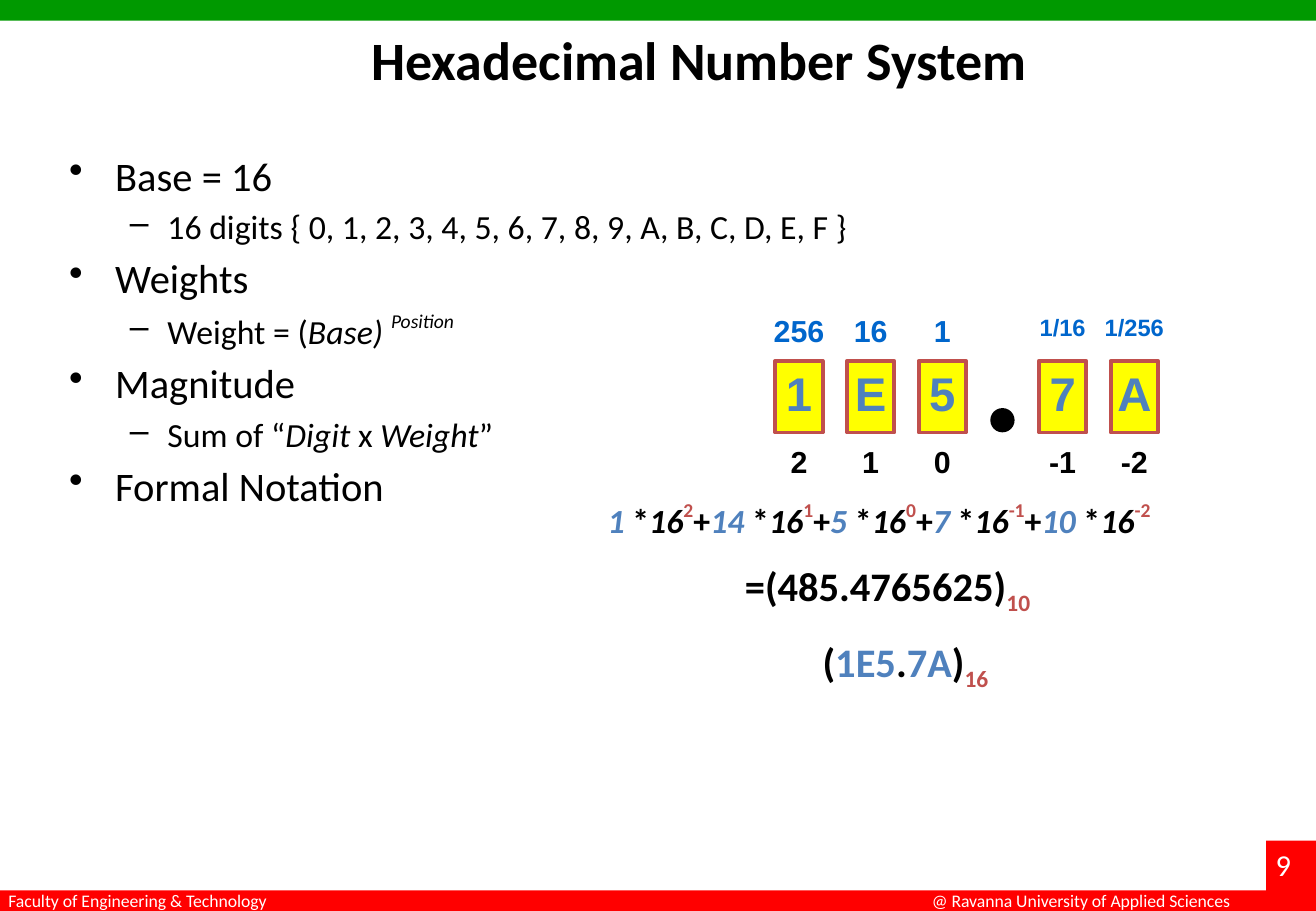
from pptx import Presentation
from pptx.dml.color import RGBColor
from pptx.enum.shapes import MSO_SHAPE as SHAPE
from pptx.enum.text import MSO_ANCHOR as ANCHOR, MSO_AUTO_SIZE as AUTOSIZE, PP_ALIGN as ALIGN
from pptx.util import Inches, Pt
from lxml import etree

BLACK = RGBColor(0x00, 0x00, 0x00)
WHITE = RGBColor(0xFF, 0xFF, 0xFF)
GREEN = RGBColor(0x00, 0x99, 0x00)
RED = RGBColor(0xFF, 0x00, 0x00)
YELLOW = RGBColor(0xFF, 0xFF, 0x00)
BRICK = RGBColor(0xC0, 0x50, 0x4D)
BLUE = RGBColor(0x4F, 0x81, 0xBD)
WEIGHT_BLUE = RGBColor(0x00, 0x66, 0xCC)

A_NS = "{http://schemas.openxmlformats.org/drawingml/2006/main}"
BOX_W, BOX_H, LABEL_W, PITCH = 0.39, 0.59, 0.59, 0.59
INTEGER_LEFT, FRACTION_LEFT = 6.38, 8.55

BULLETS = [
    (0, [("Base = 16", False)]),
    (1, [("16 digits { 0, 1, 2, 3, 4, 5, 6, 7, 8, 9, A, B, C, D, E, F }", False)]),
    (0, [("Weights", False)]),
    (1, [("Weight = (", False), ("Base) ", True), ("Position", True, 50)]),
    (0, [("Magnitude", False)]),
    (1, [("Sum of “", False), ("Digit", True), (" x ", False), ("Weight", True), ("”", False)]),
    (0, [("Formal Notation", False)]),
]
INTEGER_DIGITS = [("1", "256", 18, "2"), ("E", "16", 18, "1"), ("5", "1", 18, "0")]
FRACTION_DIGITS = [("7", "1/16", 14, "-1"), ("A", "1/256", 14, "-2")]
TERMS = [("1", "2"), ("14", "1"), ("5", "0"), ("7", "-1"), ("10", "-2")]


def set_font(font, size, color, name="Calibri", bold=False):
    font.name, font.size, font.bold = name, Pt(size), bold
    font.color.rgb = color


def add_run(p, text, color=None, italic=None, baseline=0):
    r = p.add_run()
    r.text = text
    r.font.italic = italic
    if color is not None:
        r.font.color.rgb = color
    if baseline:
        r.font._element.set("baseline", str(baseline * 1000))


def clear_margins(tf):
    tf.margin_left = tf.margin_right = tf.margin_top = tf.margin_bottom = 0


def add_text_frame(s, left, top, width, height, wrap=True):
    box = s.shapes.add_textbox(Inches(left), Inches(top), Inches(width), Inches(height))
    tf = box.text_frame
    tf.word_wrap = wrap
    return tf


def add_plain_shape(s, kind, left, top, width, height, fill, line=None):
    sp = s.shapes.add_shape(kind, Inches(left), Inches(top), Inches(width), Inches(height))
    sp.shadow.inherit = False
    sp.fill.solid()
    sp.fill.fore_color.rgb = fill
    if line is None:
        sp.line.fill.background()
    else:
        sp.line.color.rgb = line
        sp.line.width = Pt(2.25)
    return sp


def add_footer_text(s, text, left, top, width, height, size):
    p = add_text_frame(s, left, top, width, height, wrap=False).paragraphs[0]
    p.text = text
    set_font(p.font, size, WHITE)


def add_frame(s):
    add_plain_shape(s, SHAPE.RECTANGLE, 0, 0, 10.83, 0.17, GREEN)
    add_plain_shape(s, SHAPE.RECTANGLE, 0, 7.33, 10.83, 0.17, RED)
    add_plain_shape(s, SHAPE.RECTANGLE, 10.42, 6.92, 0.42, 0.58, RED)
    add_footer_text(s, "Faculty of Engineering & Technology", -0.03, 7.28, 2.38, 0.28, 10.5)
    add_footer_text(s, "@ Ravanna University of Applied Sciences", 7.57, 7.28, 2.72, 0.28, 10.5)
    add_footer_text(s, "9", 10.4, 6.92, 0.5, 0.4, 18)


def add_title(s, text):
    title = s.shapes.title
    title.left, title.top = Inches(0.88), Inches(0.17)
    title.width, title.height = Inches(9.75), Inches(1.25)
    tf = title.text_frame
    tf.auto_size = AUTOSIZE.NONE
    tf.vertical_anchor = ANCHOR.TOP
    p = tf.paragraphs[0]
    p.text = text
    p.alignment = ALIGN.CENTER
    set_font(p.font, 32, BLACK, bold=True)


def add_bullets(s):
    tf = add_text_frame(s, 0.47, 1.19, 9.06, 4.42)
    for i, (level, runs) in enumerate(BULLETS):
        p = tf.paragraphs[0] if i == 0 else tf.add_paragraph()
        p.level = level
        p.space_before = Pt(4 if i else 0)
        set_font(p.font, (24, 20)[level], BLACK)
        pPr = p._p.get_or_add_pPr()
        pPr.set("marL", str(Inches((0.38, 0.81)[level])))
        pPr.set("indent", str(Inches((-0.38, -0.31)[level])))
        bullet = etree.Element(A_NS + "buChar", char="•–"[level])
        pPr.insert_element_before(bullet, "a:tabLst", "a:defRPr", "a:extLst")
        for text, italic, *baseline in runs:
            add_run(p, text, italic=italic, baseline=sum(baseline))


def format_centred(tf, text, size, color):
    clear_margins(tf)
    p = tf.paragraphs[0]
    p.text = text
    p.alignment = ALIGN.CENTER
    p.line_spacing = 0.9
    set_font(p.font, size, color, "Arial", True)


def add_digit(s, left, digit, weight, weight_size, position):
    box = add_plain_shape(s, SHAPE.RECTANGLE, left, 2.97, BOX_W, BOX_H, YELLOW, BRICK)
    box.text_frame.vertical_anchor = ANCHOR.MIDDLE
    format_centred(box.text_frame, digit, 28, BLUE)
    label_left = left + (BOX_W - LABEL_W) / 2
    for top, text, size, color in ((2.6, weight, weight_size, WEIGHT_BLUE),
                                   (3.68, position, 18, BLACK)):
        format_centred(add_text_frame(s, label_left, top, LABEL_W, 0.27), text, size, color)


def add_digits(s):
    for start, digits in ((INTEGER_LEFT, INTEGER_DIGITS), (FRACTION_LEFT, FRACTION_DIGITS)):
        for i, digit in enumerate(digits):
            add_digit(s, start + i * PITCH, *digit)
    add_plain_shape(s, SHAPE.OVAL, 8.15, 3.36, 0.2, 0.2, BLACK)


def format_formula(p, size):
    p.line_spacing = 0.9
    set_font(p.font, size, BLACK, bold=True)


def add_expansion(s):
    tf = add_text_frame(s, 5, 4.14, 4.92, 0.87)
    clear_margins(tf)
    p = tf.paragraphs[0]
    format_formula(p, 20)
    for i, (digit, power) in enumerate(TERMS):
        if i:
            add_run(p, "+", BLACK)
        add_run(p, digit + " ", BLUE, italic=True)
        add_run(p, "*", BLACK)
        add_run(p, "16", BLACK, italic=True)
        add_run(p, power, BRICK, baseline=50)
    p = tf.add_paragraph()
    format_formula(p, 24)
    p.space_before = Pt(12)
    p._p.get_or_add_pPr().set("marL", str(Inches(1.13)))
    add_run(p, "=(485.4765625)", BLACK)
    add_run(p, "10", BRICK, baseline=-25)


def add_notation(s):
    tf = add_text_frame(s, 6.77, 5.25, 2.16, 0.36)
    clear_margins(tf)
    p = tf.paragraphs[0]
    format_formula(p, 24)
    for text, color in (("(", BLACK), ("1E5", BLUE), (".", BLACK), ("7A", BLUE), (")", BLACK)):
        add_run(p, text, color)
    add_run(p, "16", BRICK, baseline=-25)


def main():
    prs = Presentation()
    prs.slide_width, prs.slide_height = Inches(10.83), Inches(7.5)
    s = prs.slides.add_slide(prs.slide_layouts[5])
    add_frame(s)
    add_title(s, "Hexadecimal Number System")
    add_bullets(s)
    add_digits(s)
    add_expansion(s)
    add_notation(s)
    prs.save("out.pptx")


if __name__ == "__main__":
    main()
